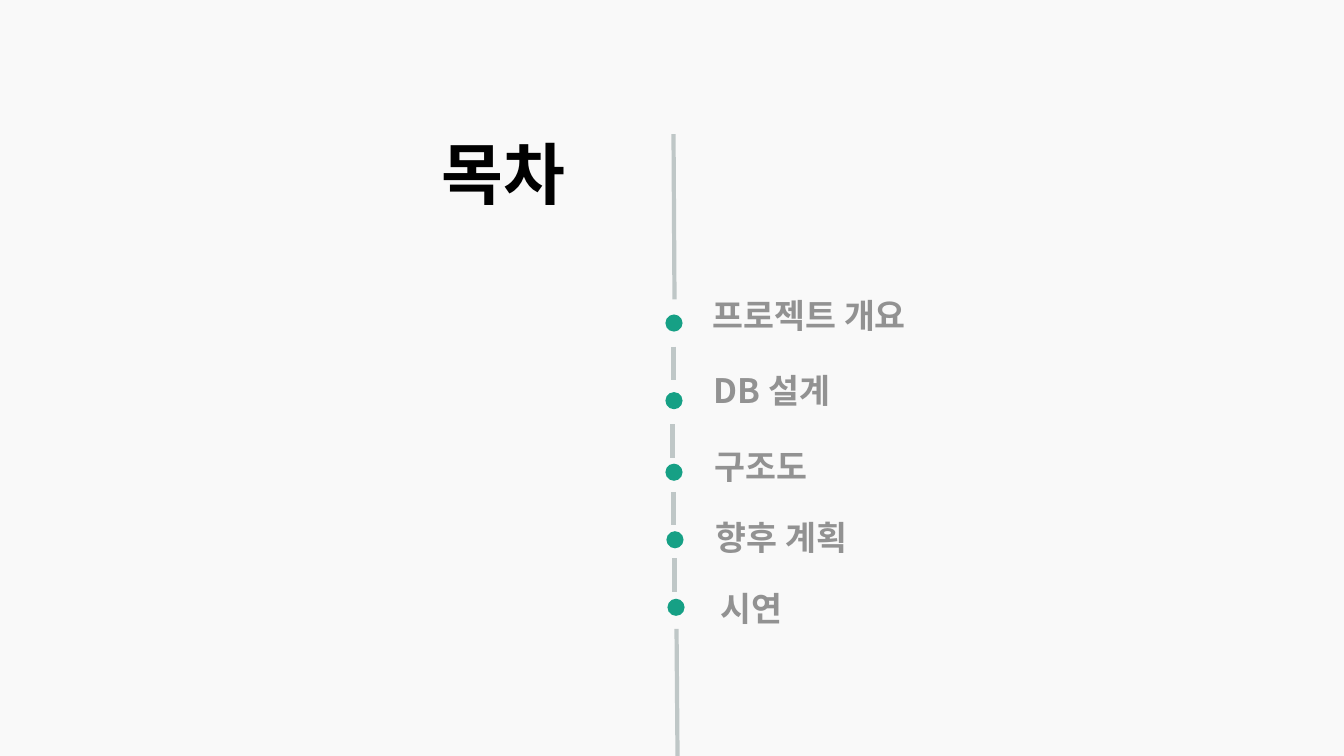
from lxml import etree
from pptx import Presentation
from pptx.dml.color import RGBColor
from pptx.enum.shapes import MSO_CONNECTOR, MSO_SHAPE
from pptx.enum.text import MSO_ANCHOR, MSO_AUTO_SIZE, PP_ALIGN
from pptx.oxml.ns import qn
from pptx.util import Inches, Pt

STRAIGHT = MSO_CONNECTOR.STRAIGHT
OVAL = MSO_SHAPE.OVAL
TOP = MSO_ANCHOR.TOP
GROW = MSO_AUTO_SIZE.SHAPE_TO_FIT_TEXT
LEFT = PP_ALIGN.LEFT

BACKGROUND = RGBColor(0xF9, 0xF9, 0xF9)
GREEN = RGBColor(0x16, 0xA0, 0x85)
LINE_GRAY = RGBColor(0xBF, 0xC7, 0xC7)
TEXT_GRAY = RGBColor(0x92, 0x92, 0x92)
BLACK = RGBColor(0, 0, 0)
FONT = "Noto Sans CJK KR"

TITLE = "목차"
# label, label left, label top, label width, dot left, dot top
ITEMS = [
    ("프로젝트 개요", 6.97, 2.88, 3.95, 6.6, 3.12),
    ("DB 설계", 6.98, 3.62, 3.95, 6.6, 3.89),
    ("구조도", 6.99, 4.37, 3.95, 6.6, 4.6),
    ("향후 계획", 7, 5.08, 4.24, 6.61, 5.27),
    ("시연", 7.05, 5.78, 4.24, 6.62, 5.94),
]
END_LINES = [(6.68, 1.33, 6.69, 2.97), (6.71, 6.24, 6.72, 7.5)]
SHORT_LINES = [(6.68, 3.44), (6.67, 4.21), (6.68, 4.88), (6.69, 5.54)]
SHORT_LENGTH = 0.33
DOT_SIZE = 0.17
LABEL_HEIGHT = 0.5


def write_text(shape, text, size, color):
    frame = shape.text_frame
    frame.word_wrap = True
    frame.auto_size = GROW
    frame.vertical_anchor = TOP
    paragraph = frame.paragraphs[0]
    paragraph.alignment = LEFT
    run = paragraph.add_run()
    run.text = text
    run.font.size = Pt(size)
    run.font.bold = True
    run.font.color.rgb = color
    run.font.name = FONT
    properties = run.font._element
    etree.SubElement(properties, qn("a:ea")).set("typeface", FONT)


def add_line(slide, *ends):
    line = slide.shapes.add_connector(STRAIGHT, *map(Inches, ends))
    line.line.color.rgb = LINE_GRAY
    line.line.width = Pt(3)
    etree.SubElement(line._element.spPr, qn("a:effectLst"))


def add_dot(slide, left, top):
    dot = slide.shapes.add_shape(
        OVAL, Inches(left), Inches(top), Inches(DOT_SIZE), Inches(DOT_SIZE))
    dot.shadow.inherit = False
    dot.fill.solid()
    dot.fill.fore_color.rgb = GREEN
    dot.line.fill.background()


def main():
    presentation = Presentation()
    presentation.slide_width = Inches(13.33)
    presentation.slide_height = Inches(7.5)
    slide = presentation.slides.add_slide(presentation.slide_layouts[5])
    slide.background.fill.solid()
    slide.background.fill.fore_color.rgb = BACKGROUND

    title = slide.shapes.title
    title.left, title.top = Inches(4.28), Inches(1.26)
    title.width, title.height = Inches(2.37), Inches(0.91)
    write_text(title, TITLE, 48, BLACK)

    for ends in END_LINES:
        add_line(slide, *ends)
    for x, top in SHORT_LINES:
        add_line(slide, x, top, x, top + SHORT_LENGTH)

    for text, left, top, width, dot_left, dot_top in ITEMS:
        add_dot(slide, dot_left, dot_top)
        label = slide.shapes.add_textbox(
            Inches(left), Inches(top), Inches(width), Inches(LABEL_HEIGHT))
        write_text(label, text, 24, TEXT_GRAY)

    presentation.save("out.pptx")


if __name__ == "__main__":
    main()
